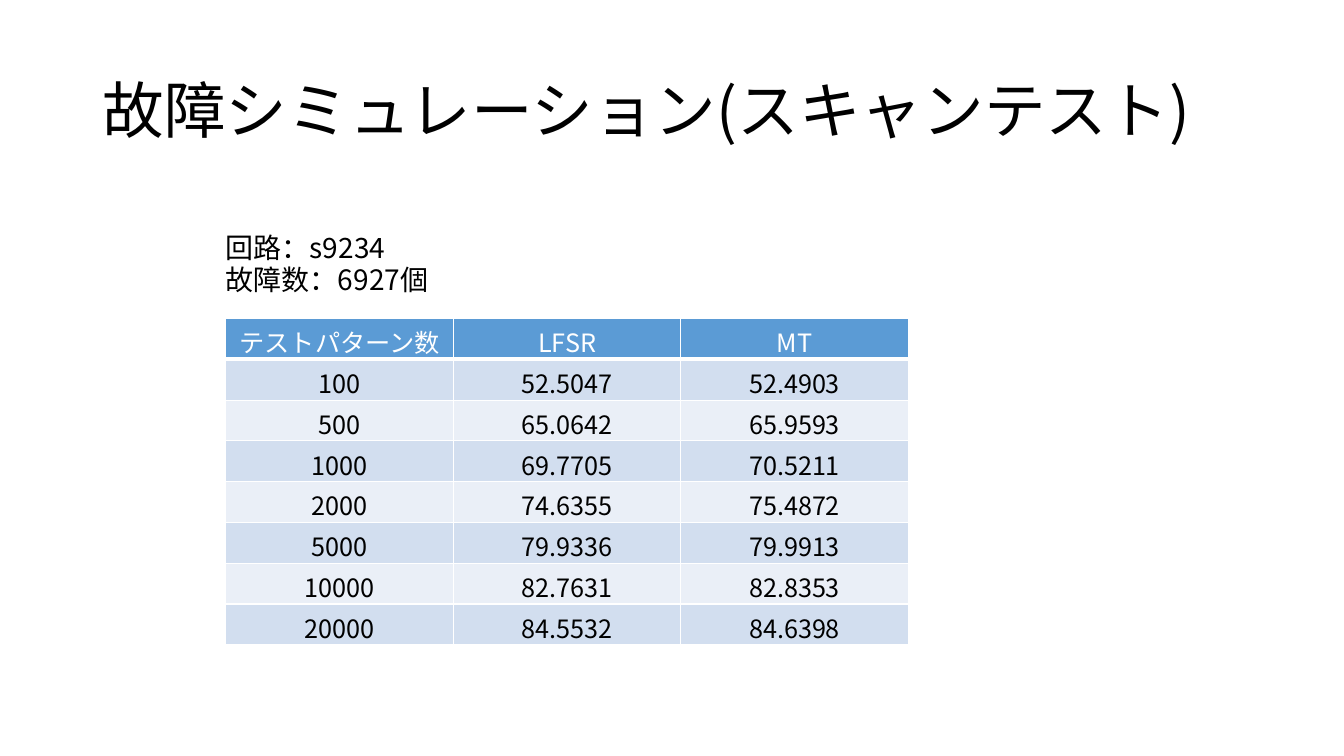
from lxml.etree import SubElement
from pptx import Presentation
from pptx.dml.color import RGBColor
from pptx.enum.text import MSO_ANCHOR, MSO_AUTO_SIZE, PP_ALIGN
from pptx.oxml.ns import qn
from pptx.util import Inches, Pt

FACE = "Noto Sans CJK JP"
BLACK = RGBColor(0, 0, 0)
WHITE = RGBColor(255, 255, 255)
BLUE = RGBColor(0x5B, 0x9B, 0xD5)
BANDS = RGBColor(0xEA, 0xEF, 0xF7), RGBColor(0xD2, 0xDE, 0xEF)

TITLE = "故障シミュレーション(スキャンテスト)"
FACTS = ["回路:s9234".replace(":", "："), "故障数：6927個"]
ROWS = [
    ("テストパターン数", "LFSR", "MT"),
    ("100", "52.5047", "52.4903"),
    ("500", "65.0642", "65.9593"),
    ("1000", "69.7705", "70.5211"),
    ("2000", "74.6355", "75.4872"),
    ("5000", "79.9336", "79.9913"),
    ("10000", "82.7631", "82.8353"),
    ("20000", "84.5532", "84.6398"),
]


def apply(item, form):
    """Set each attribute named in a dict of format values."""
    for name, value in form.items():
        setattr(item, name, value)


def write(para, text, size, color, form):
    """Put one styled run into a paragraph."""
    apply(para, form)
    run = para.add_run()
    run.text = text
    apply(run.font, {"name": FACE, "size": Pt(size), "bold": False})
    run.font.color.rgb = color
    SubElement(run.font._element, qn("a:ea"), typeface=FACE)


def add_text(slide, place, lines, size, form, frame):
    """Add a wrapped text box with one paragraph per line."""
    box = slide.shapes.add_textbox(*map(Inches, place)).text_frame
    apply(box, {"word_wrap": True, **frame})
    for num, line in enumerate(lines):
        para = box.add_paragraph() if num else box.paragraphs[0]
        write(para, line, size, BLACK, form)


def add_edges(cell, base):
    """Draw white borders around a cell, with its own width at the base."""
    props = cell._tc.get_or_add_tcPr()
    widths = {"lnL": 1, "lnR": 1, "lnT": 1, "lnB": base}
    for spot, (tag, width) in enumerate(widths.items()):
        line = SubElement(props, qn("a:" + tag), w=str(Pt(width)))
        fill = SubElement(line, qn("a:solidFill"))
        SubElement(fill, qn("a:srgbClr"), val=str(WHITE))
        props.insert(spot, line)


def add_grid(slide, place, rows):
    """Add the banded table of results."""
    size = len(rows), len(rows[0])
    grid = slide.shapes.add_table(*size, *map(Inches, place)).table
    for r, row in enumerate(rows):
        for c, text in enumerate(row):
            cell = grid.cell(r, c)
            cell.fill.solid()
            cell.fill.fore_color.rgb = BANDS[r % 2] if r else BLUE
            color = BLACK if r else WHITE
            para = cell.text_frame.paragraphs[0]
            write(para, text, 18, color, {"alignment": PP_ALIGN.CENTER})
            add_edges(cell, 1 if r else 3)


def main():
    """Build the slide and save it."""
    deck = Presentation()
    apply(deck, {"slide_width": Inches(13.33), "slide_height": Inches(7.5)})
    slide = deck.slides.add_slide(deck.slide_layouts[6])
    add_text(slide, (0.92, 0.4, 11.5, 1.45), [TITLE], 44,
             {"line_spacing": 0.9},
             {"vertical_anchor": MSO_ANCHOR.MIDDLE, "margin_right": 0})
    add_grid(slide, (2.24, 3.16, 6.77, 3.24), ROWS)
    add_text(slide, (2.14, 2.24, 7.96, 0.77), FACTS, 20,
             {"line_spacing": Pt(23.5)},
             {"auto_size": MSO_AUTO_SIZE.SHAPE_TO_FIT_TEXT})
    deck.save("out.pptx")


if __name__ == "__main__":
    main()
